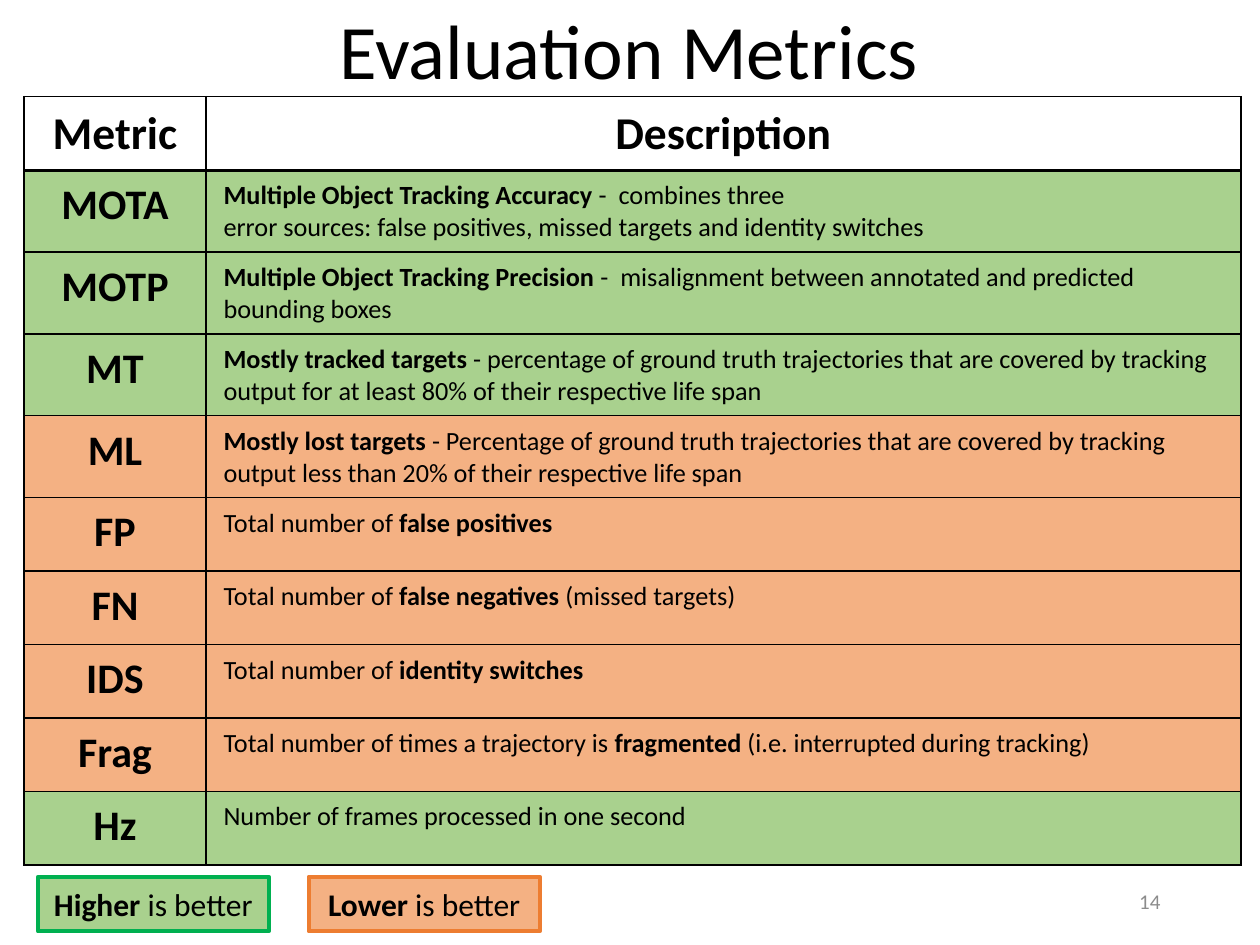
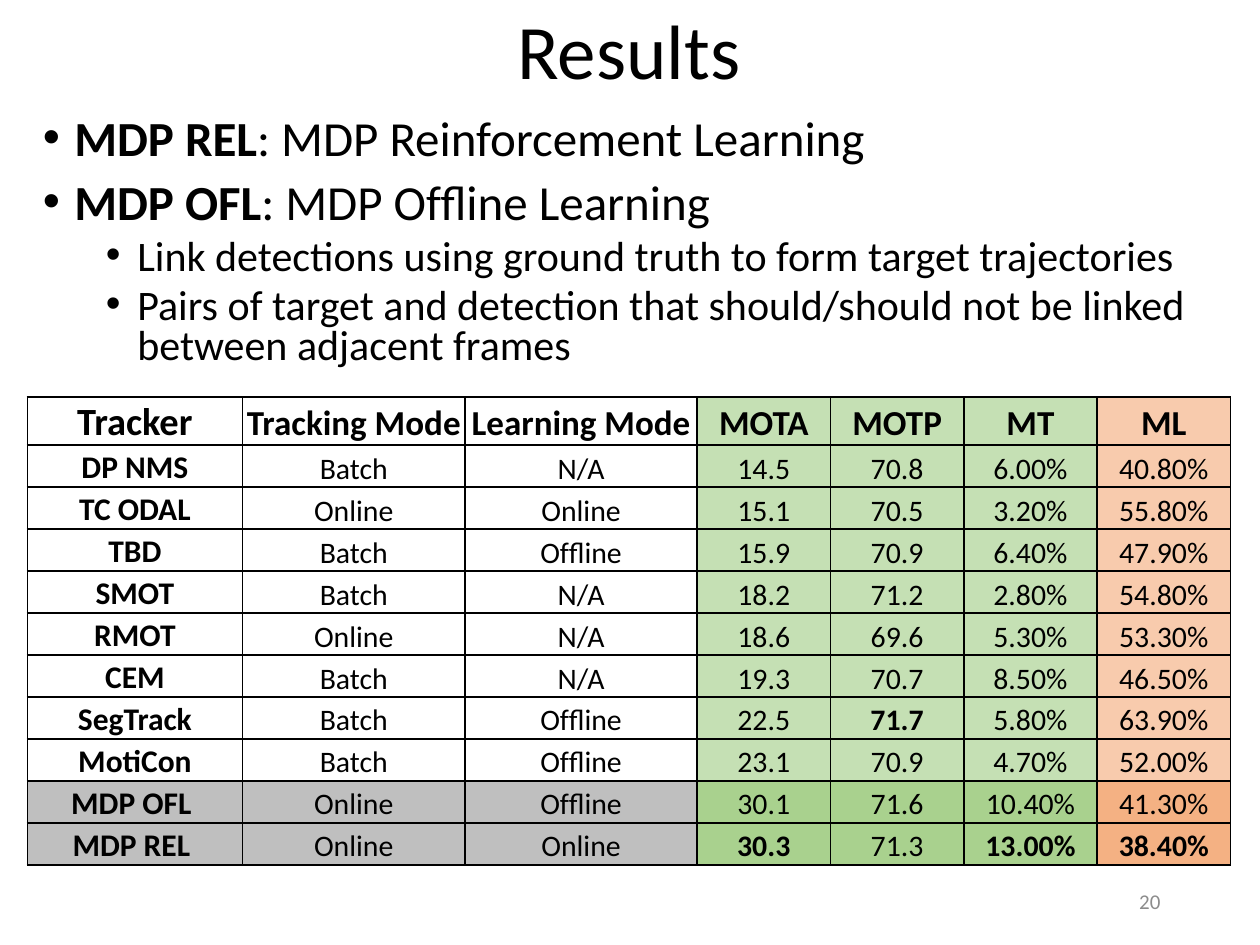
from lxml import etree
from pptx import Presentation
from pptx.dml.color import RGBColor
from pptx.enum.shapes import MSO_SHAPE
from pptx.enum.text import MSO_ANCHOR, PP_ALIGN
from pptx.oxml.ns import qn
from pptx.util import Pt

PX = 7620
FONT = "Calibri"
LEFT, CENTER, RIGHT = PP_ALIGN.LEFT, PP_ALIGN.CENTER, PP_ALIGN.RIGHT
TOP, MIDDLE, BOTTOM = MSO_ANCHOR.TOP, MSO_ANCHOR.MIDDLE, MSO_ANCHOR.BOTTOM
RECTANGLE = MSO_SHAPE.RECTANGLE
BLACK, WHITE, GRAY, NUMBER_GRAY = "000000", "FFFFFF", "BFBFBF", "8C8C8C"
GREEN, PALE_GREEN, GREEN_LINE = "A9D18E", "C5E0B4", "00B050"
ORANGE, PALE_ORANGE, ORANGE_LINE = "F4B183", "F8CBAD", "ED7D31"
color = RGBColor.from_string


def write_text(frame, text, size, alignment, ink=BLACK):
    frame.word_wrap = True
    for index, line in enumerate(text.split("\n")):
        paragraph = frame.add_paragraph() if index else frame.paragraphs[0]
        paragraph.alignment = alignment
        for part, words in enumerate(line.split("*")):
            if words:
                run = paragraph.add_run()
                run.text = words
                run.font.name = FONT
                run.font.size = Pt(size)
                run.font.bold = part % 2 == 1
                run.font.color.rgb = color(ink)


def add_grid(slide, left, top, widths, row_height, rows, margins, anchor, header_line):
    table = slide.shapes.add_table(
        len(rows), len(widths), left * PX, top * PX,
        sum(widths) * PX, row_height * len(rows) * PX).table
    table.first_row = table.horz_banding = False
    for column, width in zip(table.columns, widths):
        column.width = width * PX
    for row_index, row in enumerate(rows):
        table.rows[row_index].height = row_height * PX
        for column_index, (text, size, alignment, fill) in enumerate(row):
            cell = table.cell(row_index, column_index)
            cell.margin_left = cell.margin_right = margins[0] * PX
            cell.margin_top, cell.margin_bottom = margins[1] * PX, margins[2] * PX
            cell.vertical_anchor = anchor
            write_text(cell.text_frame, text, size, alignment)
            properties = cell._tc.get_or_add_tcPr()
            for side in "LRTB":
                under_header = (row_index, side) in ((0, "B"), (1, "T"))
                width = header_line if under_header else 1
                line = etree.SubElement(properties, qn("a:ln" + side), w=str(Pt(width)))
                solid = etree.SubElement(line, qn("a:solidFill"))
                etree.SubElement(solid, qn("a:srgbClr"), val=BLACK)
            cell.fill.solid()
            cell.fill.fore_color.rgb = color(fill)


presentation = Presentation()
presentation.slide_width = 1200 * PX
presentation.slide_height = 900 * PX

slides = []
for title, number in (("Evaluation Metrics", "14"), ("Results", "20")):
    slide = presentation.slides.add_slide(presentation.slide_layouts[6])
    slides.append(slide)
    title_box = slide.shapes.add_textbox(61 * PX, 6 * PX, 1076 * PX, 92 * PX)
    title_box.text_frame.vertical_anchor = MIDDLE
    write_text(title_box.text_frame, title, 44, CENTER)
    title_box.text_frame.paragraphs[0].line_spacing = 0.9
    number_box = slide.shapes.add_textbox(847 * PX, 834 * PX, 270 * PX, 48 * PX)
    number_box.text_frame.vertical_anchor = MIDDLE
    write_text(number_box.text_frame, number, 12, RIGHT, NUMBER_GRAY)
metrics_slide, results_slide = slides

metrics = [
    ("MOTA", GREEN, "*Multiple Object Tracking Accuracy *-  combines three\n"
     "error sources: false positives, missed targets and identity switches"),
    ("MOTP", GREEN, "*Multiple Object Tracking Precision *-  misalignment between "
     "annotated and predicted bounding boxes"),
    ("MT", GREEN, "*Mostly tracked targets *- percentage of ground truth trajectories "
     "that are covered by tracking output for at least 80% of their respective life span"),
    ("ML", ORANGE, "*Mostly lost targets *- Percentage of ground truth trajectories "
     "that are covered by tracking output less than 20% of their respective life span"),
    ("FP", ORANGE, "Total number of *false positives*"),
    ("FN", ORANGE, "Total number of *false negatives *(missed targets)"),
    ("IDS", ORANGE, "Total number of *identity switches*"),
    ("Frag", ORANGE, "Total number of times a trajectory is *fragmented* "
     "(i.e. interrupted during tracking)"),
    ("Hz", GREEN, "Number of frames processed in one second"),
]
metric_rows = [[(f"*{heading}*", 26, CENTER, WHITE) for heading in ("Metric", "Description")]]
for metric, fill, description in metrics:
    metric_rows.append([(f"*{metric}*", 24, CENTER, fill), (description, 15, LEFT, fill)])
add_grid(metrics_slide, 23, 92, [173, 986], 70, metric_rows, (17, 9, 9), TOP, 2)

legend = [
    (36, "*Higher* is better", GREEN, GREEN_LINE),
    (294, "*Lower* is better", ORANGE, ORANGE_LINE),
]
for left, text, fill, outline in legend:
    shape = metrics_slide.shapes.add_shape(RECTANGLE, left * PX, 835 * PX, 220 * PX, 52 * PX)
    shape.shadow.inherit = False
    shape.fill.solid()
    shape.fill.fore_color.rgb = color(fill)
    shape.line.color.rgb = color(outline)
    shape.line.width = Pt(2.25)
    shape.text_frame.vertical_anchor = MIDDLE
    write_text(shape.text_frame, text, 18, CENTER)

bullets = [
    (0, "*MDP REL*: MDP Reinforcement Learning"),
    (0, "*MDP OFL*: MDP Ofﬂine Learning"),
    (1, "Link detections using ground truth to form target trajectories"),
    (1, "Pairs of target and detection that should/should not be linked between adjacent frames"),
]
body = results_slide.shapes.add_textbox(29 * PX, 107 * PX, 1154 * PX, 264 * PX)
write_text(body.text_frame, "\n".join(text for level, text in bullets), 28, LEFT)
for paragraph, (level, text) in zip(body.text_frame.paragraphs, bullets):
    paragraph.level = level
    paragraph.line_spacing = 0.8
    paragraph.space_before = Pt(5 if level else 10)
    for run in paragraph.runs:
        run.font.size = Pt(24 if level else 28)
    properties = paragraph._p.get_or_add_pPr()
    properties.set("marL", str((30 + 60 * level) * PX))
    properties.set("indent", str(-30 * PX))
    etree.SubElement(properties, qn("a:buFont"), typeface="Arial")
    etree.SubElement(properties, qn("a:buChar"), char="•")

headings = ["Tracker", "Tracking Mode", "Learning Mode", "MOTA", "MOTP", "MT", "ML"]
results = [
    ("DP NMS", "Batch", "N/A", "14.5", "70.8", "6.00%", "40.80%"),
    ("TC ODAL", "Online", "Online", "15.1", "70.5", "3.20%", "55.80%"),
    ("TBD", "Batch", "Ofﬂine", "15.9", "70.9", "6.40%", "47.90%"),
    ("SMOT", "Batch", "N/A", "18.2", "71.2", "2.80%", "54.80%"),
    ("RMOT", "Online", "N/A", "18.6", "69.6", "5.30%", "53.30%"),
    ("CEM", "Batch", "N/A", "19.3", "70.7", "8.50%", "46.50%"),
    ("SegTrack", "Batch", "Ofﬂine", "22.5", "*71.7*", "5.80%", "63.90%"),
    ("MotiCon", "Batch", "Ofﬂine", "23.1", "70.9", "4.70%", "52.00%"),
    ("MDP OFL ", "Online", "Ofﬂine", "30.1", "71.6", "10.40%", "41.30%"),
    ("MDP REL ", "Online", "Online", "*30.3*", "71.3", "*13.00%*", "*38.40%*"),
]
plain_fills = [WHITE] * 3 + [PALE_GREEN] * 3 + [PALE_ORANGE]
strong_fills = [GRAY] * 3 + [GREEN] * 3 + [ORANGE]
heading_sizes = [22] + [20] * 6
result_rows = [[(f"*{heading}*", size, CENTER, fill)
                for heading, size, fill in zip(headings, heading_sizes, plain_fills)]]
for tracker, *values in results:
    fills = strong_fills if tracker.startswith("MDP") else plain_fills
    result_rows.append([(f"*{tracker}*", 18, CENTER, fills[0])]
                       + [(value, 17, CENTER, fill) for value, fill in zip(values, fills[1:])])
add_grid(results_slide, 26, 378, [205, 212, 221] + [127] * 4, 40,
         result_rows, (2, 2, 0), BOTTOM, 1)

presentation.save("out.pptx")
